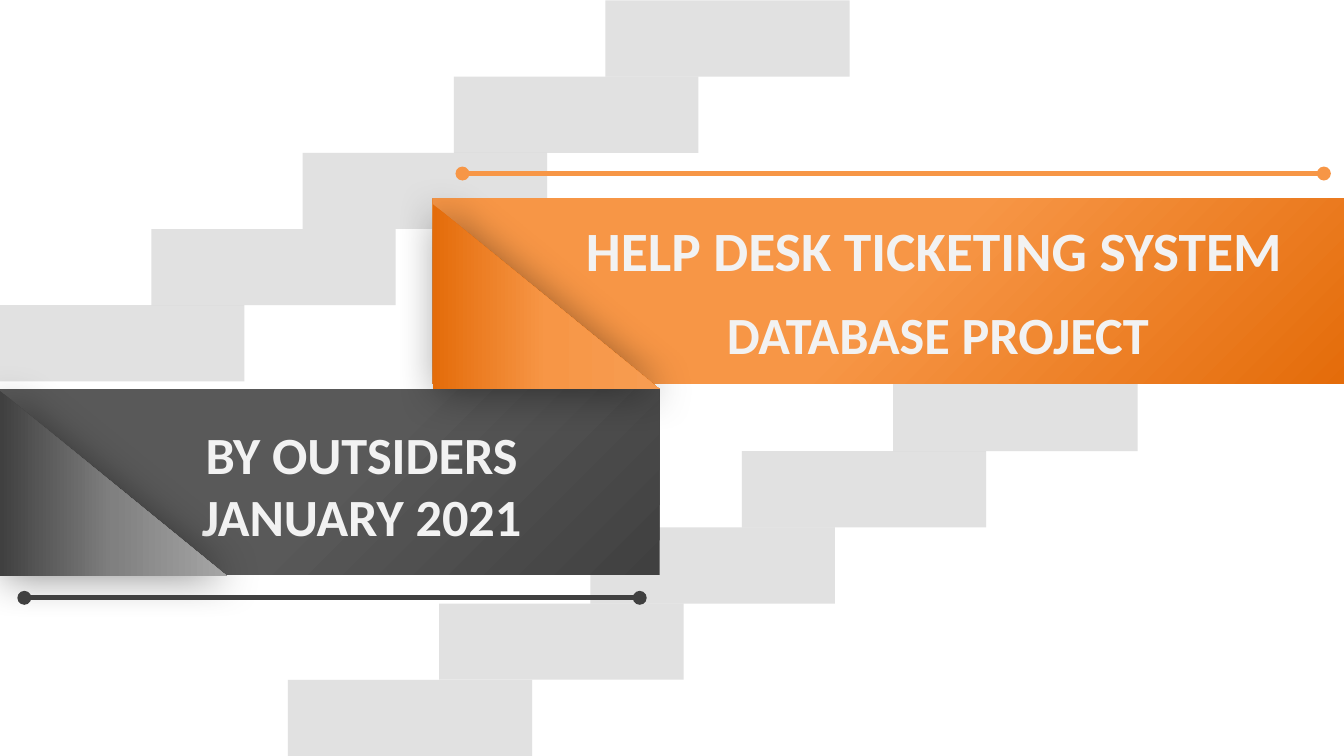
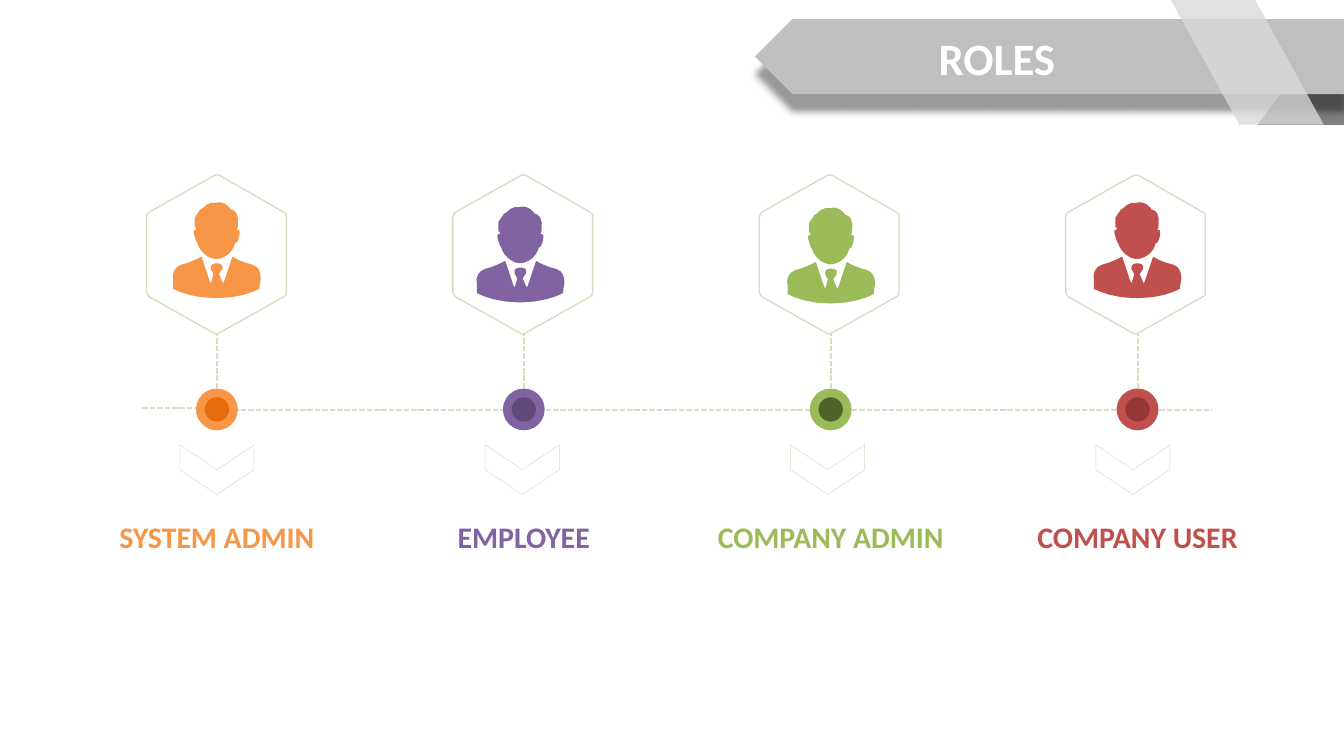
"""Build the title and roles slides of the help desk project deck."""
from copy import deepcopy

from lxml.etree import SubElement
from pptx import Presentation
from pptx.dml.color import RGBColor
from pptx.enum.dml import MSO_LINE
from pptx.enum.shapes import MSO_CONNECTOR, MSO_SHAPE
from pptx.enum.text import MSO_ANCHOR, MSO_AUTO_SIZE, PP_ALIGN
from pptx.oxml.ns import qn
from pptx.util import Cm, Pt

RECT, OVAL, CHEVRON = MSO_SHAPE.RECTANGLE, MSO_SHAPE.OVAL, MSO_SHAPE.CHEVRON
FOLD, PLATE, SLANT = MSO_SHAPE.RIGHT_TRIANGLE, MSO_SHAPE.PENTAGON, MSO_SHAPE.PARALLELOGRAM
STRAIGHT, DASH = MSO_CONNECTOR.STRAIGHT, MSO_LINE.SQUARE_DOT
TOP, MIDDLE, CENTER = MSO_ANCHOR.TOP, MSO_ANCHOR.MIDDLE, PP_ALIGN.CENTER
FIXED = MSO_AUTO_SIZE.NONE

FONT = "Calibri"
ORANGE, EMBER, PEACH = "F79646", "E46C0A", "F79C51"
DARK, SLATE, SILVER = "404040", "595959", "BFBFBF"
PALE, WHITE, SAND = "F2F2F2", "FFFFFF", "DDD9C3"


def paint(shape, fill=None, line=None, width=1, dash=None, ends=None,
          alpha=None, angle=0, shadow=None):
    """Set fill, outline and shadow; a tuple of colours makes a gradient."""
    props = shape.element.spPr
    if line:
        shape.line.color.rgb = RGBColor.from_string(line)
        shape.line.width = Pt(width)
        if dash:
            shape.line.dash_style = dash
        if ends:
            for tag in ("a:headEnd", "a:tailEnd"):
                SubElement(props.find(qn("a:ln")), qn(tag), type=ends)
    else:
        shape.line.fill.background()
    if not hasattr(shape, "fill"):
        SubElement(props, qn("a:effectLst"))
        return
    shape.shadow.inherit = False
    if isinstance(fill, tuple):
        shape.fill.gradient()
        shape.fill.gradient_angle = angle
        stops = props.find(qn("a:gradFill")).find(qn("a:gsLst"))
        stops.append(deepcopy(stops[-1]))
        for i, stop in enumerate(shape.fill.gradient_stops):
            stop.color.rgb = RGBColor.from_string(fill[i])
            stop.position = i / 2
    elif fill:
        shape.fill.solid()
        shape.fill.fore_color.rgb = RGBColor.from_string(fill)
        if alpha:
            tint = props.find(qn("a:solidFill"))[0]
            SubElement(tint, qn("a:alpha"), val=str(alpha * 1000))
    else:
        shape.fill.background()
    if shadow:
        blur, dist, turn = shadow
        cast = SubElement(props.find(qn("a:effectLst")), qn("a:outerShdw"),
                          blurRad=str(Pt(blur)), dist=str(Pt(dist)),
                          dir=str(turn * 60000), algn="ctr", rotWithShape="0")
        shade = SubElement(cast, qn("a:srgbClr"), val="000000")
        SubElement(shade, qn("a:alpha"), val="40000")


def write(slide, text, left, top, width, height, size=28, color=PALE,
          title=False, anchor=TOP):
    """Put bold centred text in a new box or in the title placeholder."""
    place = [Cm(n) for n in (left, top, width, height)]
    if title:
        box = slide.shapes.title
        slide.shapes.element.append(box.element)
        box.left, box.top, box.width, box.height = place
    else:
        box = slide.shapes.add_textbox(*place)
    frame = box.text_frame
    frame.text = text
    frame.word_wrap = True
    frame.auto_size = FIXED
    frame.vertical_anchor = anchor
    for para in frame.paragraphs:
        para.alignment = CENTER
        font = para.runs[0].font
        font.name, font.size, font.bold = FONT, Pt(size), True
        font.color.rgb = RGBColor.from_string(color)
    return box


prs = Presentation()
prs.slide_width, prs.slide_height = Cm(25.4), Cm(14.29)
cover, roles = [prs.slides.add_slide(prs.slide_layouts[5]) for _ in range(2)]

shapes = cover.shapes
for left, top in ((0, 5.77), (5.44, 12.85)):
    for i in range(5):
        step = shapes.add_shape(RECT, Cm(left + 2.86 * i), Cm(top - 1.44 * i),
                                Cm(4.62), Cm(1.44))
        paint(step, SILVER, alpha=46)

band = shapes.add_shape(RECT, Cm(8.18), Cm(3.76), Cm(17.22), Cm(3.5))
paint(band, (EMBER, ORANGE, ORANGE), angle=135)
write(cover, "HELP DESK TICKETING SYSTEM", 9.91, 3.96, 15.49, 2.34, size=29.7, title=True)
write(cover, "DATABASE PROJECT", 11.86, 5.59, 11.73, 1.42)

band = shapes.add_shape(RECT, 0, Cm(7.37), Cm(12.47), Cm(3.5))
paint(band, (DARK, SLATE, SLATE), angle=135)
write(cover, "BY OUTSIDERS\nJANUARY 2021", 0.97, 7.85, 11.73, 2.64)

for left, top, hues in ((0, 7.39, (DARK, "808080", "A6A6A6")),
                        (8.18, 3.86, (EMBER, ORANGE, PEACH))):
    fold = shapes.add_shape(FOLD, Cm(left), Cm(top), Cm(4.29), Cm(3.5))
    paint(fold, hues, shadow=(22, 3, 45))

for start, end, y, hue in ((8.74, 25.02, 3.28, ORANGE), (0.46, 12.09, 11.3, DARK)):
    rule = shapes.add_connector(STRAIGHT, Cm(start), Cm(y), Cm(end), Cm(y))
    paint(rule, line=hue, width=2.5, ends="oval")

HEX = [(0, 32), (0, 30, 1, 29, 2, 28), (50, 1), (52, 0, 53, 0, 55, 1), (102, 28),
       (104, 29, 104, 30, 104, 32), (104, 87), (104, 88, 104, 90, 102, 91),
       (54, 118), (53, 119, 52, 119, 50, 118), (2, 91), (1, 90, 0, 88, 0, 87)]
HEAD = [(19, 31), (20, 35, 24, 40, 29, 42), (32, 43, 34, 43, 37, 42),
        (43, 40, 46, 35, 47, 31), (48, 31, 49, 30, 50, 26),
        (51, 21, 50, 21, 48, 21), (49, 20, 49, 19, 49, 19),
        (51, 6, 44, 6, 44, 6), (44, 6, 43, 4, 40, 2), (38, 1, 36, 0, 32, 1),
        (31, 1, 30, 1, 29, 1), (27, 2, 26, 2, 25, 3), (24, 4, 23, 5, 21, 6),
        (20, 8, 18, 10, 17, 12), (17, 14, 17, 17, 17, 19),
        (18, 19, 18, 20, 18, 21), (17, 21, 15, 21, 17, 26),
        (18, 30, 19, 31, 19, 31)]
BODY = [(60, 47), (51, 45, 45, 41, 45, 41), (40, 56), (39, 59), (38, 61), (35, 54),
        (42, 46, 34, 46, 33, 46), (33, 46, 25, 46, 31, 54), (29, 61), (28, 59),
        (27, 56), (22, 41), (22, 41, 15, 45, 7, 47), (1, 49, 0, 55, 1, 58),
        (1, 58, 1, 63, 1, 65), (1, 65, 13, 72, 33, 72), (53, 72, 65, 65, 65, 65),
        (65, 63, 66, 58, 66, 58), (66, 55, 66, 49, 60, 47)]
ROLES = [("SYSTEM ADMIN", ORANGE, EMBER, 3.25, 3.81, 5.38),
         ("EMPLOYEE", "8064A2", "604A7B", 8.99, 3.89, 5.38),
         ("COMPANY ADMIN", "9BBB59", "4F6228", 14.86, 3.91, 5.89),
         ("COMPANY USER", "C0504D", "953735", 20.65, 3.81, 5.38)]

shapes = roles.shapes
for start, end, y in ((21.49, 22.91, 7.75), (10.03, 15.65, 7.75), (4.27, 9.91, 7.75),
                      (15.82, 21.46, 7.75), (2.69, 4.11, 7.72)):
    axis = shapes.add_connector(STRAIGHT, Cm(start), Cm(y), Cm(end), Cm(y))
    paint(axis, line=SAND, dash=DASH)

for i, (name, hue, core, left, top, width) in enumerate(ROLES):
    mid = 4.1 + 5.8 * i
    for size, fill in ((0.79, hue), (0.46, core)):
        dot = shapes.add_shape(OVAL, Cm(mid - size / 2), Cm(7.74 - size / 2),
                               Cm(size), Cm(size))
        paint(dot, fill)
    stem = shapes.add_connector(STRAIGHT, Cm(mid), Cm(7.34), Cm(mid), Cm(6.32))
    paint(stem, line=SAND, dash=DASH)
    for path, x, y, fill, line in ((HEX, 2.77 + 5.79 * i, 3.3, None, SAND),
                                   (HEAD, left, top, hue, None),
                                   (BODY, left, top, hue, None)):
        points = [path[0]]
        for part in path[1:]:
            if len(part) == 2:
                points.append(part)
                continue
            knots = [points[-1], part[:2], part[2:4], part[4:]]
            for t in (0.2, 0.4, 0.6, 0.8, 1):
                mix = ((1 - t) ** 3, 3 * t * (1 - t) ** 2, 3 * t * t * (1 - t), t ** 3)
                points.append(tuple(sum(m * k[axis] for m, k in zip(mix, knots))
                                    for axis in (0, 1)))
        points = [(100 * px, 100 * py) for px, py in points]
        pen = shapes.build_freeform(*points[0], scale=Cm(2.54) / 10000)
        pen.add_line_segments(points[1:], close=True)
        paint(pen.convert_to_shape(Cm(x), Cm(y)), fill, line, width=0.75)
    arrow = shapes.add_shape(CHEVRON, Cm(3.63 + 5.77 * i), Cm(8.18), Cm(0.94), Cm(1.4))
    arrow.rotation = 90
    paint(arrow, line=SAND, width=0.25)
    write(roles, name, mid - width / 2, 9.68, width, 0.86, size=16, color=hue)

tail = shapes.add_shape(SLANT, Cm(23.77), Cm(0.66), Cm(2.92), Cm(1.7))
tail.adjustments[0] = 0.735
paint(tail, "808080")
plate = shapes.add_shape(PLATE, Cm(14.27), Cm(0.36), Cm(11.15), Cm(1.42))
plate.rotation = 180
paint(plate, SILVER, shadow=(4, 9, 90))
head = write(roles, "ROLES", 14.6, 0.41, 8.48, 1.35, size=24, color=WHITE,
             title=True, anchor=MIDDLE)
glow = deepcopy(plate.element.spPr.find(qn("a:effectLst")))
head.element.find(".//" + qn("a:rPr")).find(qn("a:solidFill")).addnext(glow)
strip = shapes.add_shape(SLANT, Cm(22.1), Cm(-0.05), Cm(2.92), Cm(2.41))
strip.adjustments[0] = 0.55
strip.element.spPr.find(qn("a:xfrm")).set("flipV", "1")
paint(strip, "D9D9D9", alpha=78)

prs.save("out.pptx")
